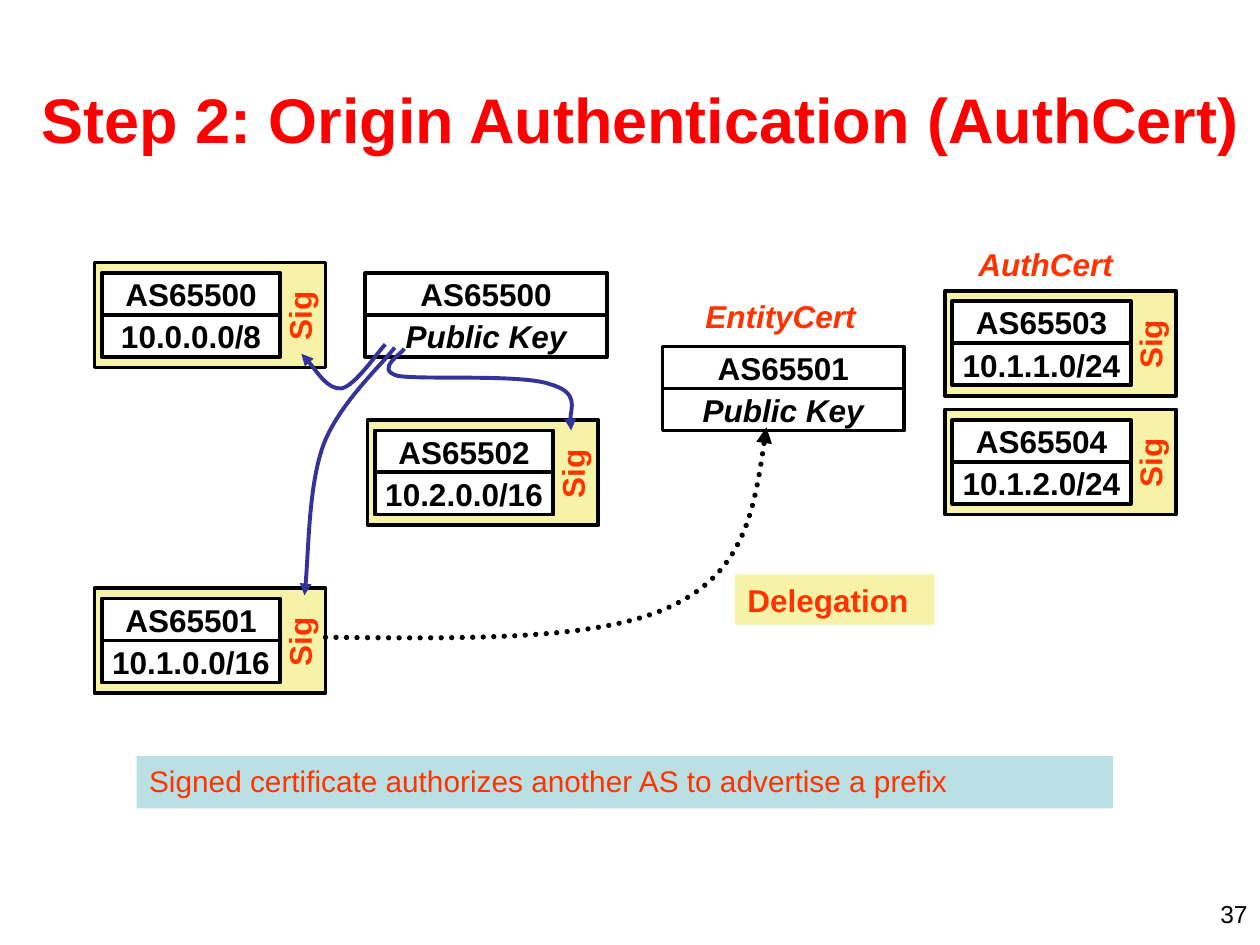
from pptx import Presentation
from pptx import util as u
from pptx.dml.color import RGBColor
from pptx.enum import dml, shapes, text
from pptx.oxml.ns import qn
from pptx.oxml.xmlchemy import OxmlElement

BLACK = RGBColor(0x00, 0x00, 0x00)
WHITE = RGBColor(0xFF, 0xFF, 0xFF)
RED = RGBColor(0xFF, 0x00, 0x00)
ORANGE = RGBColor(0xFF, 0x33, 0x00)
YELLOW = RGBColor(0xF6, 0xF2, 0xA8)
PALE_BLUE = RGBColor(0xBB, 0xE0, 0xE3)
INDIGO = RGBColor(0x33, 0x33, 0x99)

COLUMNS, ROWS = 120, 90


class Board:
    font_name = "Arial"
    row_height = 4

    def __init__(self, presentation):
        self.slide = presentation.slides.add_slide(presentation.slide_layouts[1])
        self.column = presentation.slide_width / COLUMNS
        self.row = presentation.slide_height / ROWS

    def point(self, column, row):
        return round(column * self.column), round(row * self.row)

    def place(self, shape, left, top, width, height):
        shape.left, shape.top = self.point(left, top)
        shape.width, shape.height = self.point(width, height)

    def set_text(self, shape, words, size=18, color=BLACK, bold=True, italic=False,
                 align=text.PP_ALIGN.LEFT, anchor=text.MSO_ANCHOR.MIDDLE, wrap=True):
        frame = shape.text_frame
        frame.text = words
        frame.auto_size = text.MSO_AUTO_SIZE.NONE
        frame.word_wrap = wrap
        frame.vertical_anchor = anchor
        paragraph = frame.paragraphs[0]
        paragraph.alignment = align
        paragraph.space_before = u.Pt(0)
        font = paragraph.font
        font.name, font.size = self.font_name, u.Pt(size)
        font.bold, font.italic = bold, italic
        font.color.rgb = color
        return paragraph

    def title(self, words, *area):
        shape = self.slide.shapes.title
        self.place(shape, *area)
        self.set_text(shape, words, 36, RED, align=text.PP_ALIGN.CENTER)

    def body(self, words, *area):
        shape = self.slide.placeholders[1]
        self.place(shape, *area)
        shape.fill.solid()
        shape.fill.fore_color.rgb = PALE_BLUE
        paragraph = self.set_text(shape, words, 17, ORANGE, bold=False,
                                  anchor=text.MSO_ANCHOR.TOP)
        properties = paragraph._p.get_or_add_pPr()
        properties.set("marL", str(u.Inches(0.32)))
        properties.set("indent", str(u.Inches(-0.32)))
        properties.insert_element_before(OxmlElement("a:buNone"), "a:tabLst", "a:defRPr")

    def box(self, left, top, width, height, fill=None, line=BLACK):
        shape = self.slide.shapes.add_shape(
            shapes.MSO_SHAPE.RECTANGLE, *self.point(left, top), *self.point(width, height))
        shape.shadow.inherit = False
        if fill is None:
            shape.fill.background()
        else:
            shape.fill.solid()
            shape.fill.fore_color.rgb = fill
        if line is None:
            shape.line.fill.background()
        else:
            shape.line.color.rgb = line
            shape.line.width = u.Pt(2.25)
        return shape

    def label(self, words, left, top, width, height, rotation=0, **style):
        shape = self.slide.shapes.add_textbox(
            *self.point(left, top), *self.point(width, height))
        shape.rotation = rotation
        self.set_text(shape, words, **style)

    def pair(self, left, top, width, system, value, fill=None, italic=False):
        for index, words in enumerate((system, value)):
            shape = self.box(left, top + index * self.row_height,
                             width, self.row_height, fill)
            self.set_text(shape, words, italic=italic and index == 1,
                          align=text.PP_ALIGN.CENTER, wrap=False)

    def certificate(self, left, top, system, prefix):
        self.box(left, top, 22, 10, YELLOW)
        self.pair(left + 0.7, top + 1, 17, system, prefix, WHITE)
        self.label("Sig", left + 16.2, top + 2.8, 6.6, 4.6, rotation=270,
                   color=ORANGE, align=text.PP_ALIGN.CENTER, wrap=False)

    def public_key(self, left, top, system):
        self.pair(left, top, 23, system, "Public Key", italic=True)

    def curve(self, start, *controls, color=INDIGO, width=2.25, dotted=False):
        builder = self.slide.shapes.build_freeform(*self.point(*start))
        builder.add_line_segments([self.point(*control) for control in controls], close=False)
        shape = builder.convert_to_shape()
        segments = list(shape.element.iter(qn("a:lnTo")))
        for first in range(0, len(segments), 3):
            bezier = OxmlElement("a:cubicBezTo")
            segments[first].addprevious(bezier)
            for segment in segments[first:first + 3]:
                bezier.append(segment[0])
                segment.getparent().remove(segment)
        shape.shadow.inherit = False
        shape.fill.background()
        shape.line.color.rgb = color
        shape.line.width = u.Pt(width)
        outline = shape.line._get_or_add_ln()
        if dotted:
            shape.line.dash_style = dml.MSO_LINE.ROUND_DOT
            outline.set("cap", "rnd")
        arrowhead = OxmlElement("a:tailEnd")
        arrowhead.set("type", "triangle")
        outline.append(arrowhead)


def main():
    presentation = Presentation()
    presentation.slide_width, presentation.slide_height = u.Inches(10), u.Inches(7.5)
    board = Board(presentation)

    board.title("Step 2: Origin Authentication (AuthCert)", 2, 3.8, 118, 15)
    board.body("Signed certificate authorizes another AS to advertise a prefix", 13, 72, 93, 5)

    for left, top, system, prefix in (
        (9, 25, "AS65500", "10.0.0.0/8"),
        (35, 40, "AS65502", "10.2.0.0/16"),
        (9, 56, "AS65501", "10.1.0.0/16"),
        (90, 27.7, "AS65503", "10.1.1.0/24"),
        (90, 39, "AS65504", "10.1.2.0/24"),
    ):
        board.certificate(left, top, system, prefix)

    board.public_key(34.8, 26, "AS65500")
    board.public_key(63.1, 33, "AS65501")

    board.curve((36.7, 32.8), (36, 33.5), (33.8, 36.8), (32.5, 37),
                (31.2, 37.1), (29.5, 34.4), (28.7, 33.7))
    board.curve((37.6, 33.1), (36.5, 34.6), (32.3, 38.4), (30.8, 42.4),
                (29.4, 46.3), (29.4, 53.6), (29, 56.7))
    board.curve((38.5, 33.2), (38.4, 33.6), (35.6, 35.2), (37.9, 35.8),
                (40.3, 36.2), (49.7, 35.6), (52.4, 36.6),
                (55.2, 37.4), (54, 40.1), (54.4, 41))
    board.curve((31, 60.7), (44, 60.8), (57, 61.1), (64, 57.7),
                (71, 54.4), (72, 47.5), (73, 40.7),
                color=BLACK, width=3, dotted=True)

    delegation = board.box(70, 54.7, 19, 4.8, YELLOW, line=None)
    board.set_text(delegation, "Delegation", color=ORANGE)
    board.label("EntityCert", 66, 27.7, 18, 4.8, color=ORANGE, italic=True)
    board.label("AuthCert", 92, 22.7, 18, 4.8, color=ORANGE, italic=True)
    board.label("37", 92, 85, 28, 3, size=14, bold=False,
                align=text.PP_ALIGN.RIGHT, anchor=text.MSO_ANCHOR.TOP)

    presentation.save("out.pptx")


if __name__ == "__main__":
    main()
